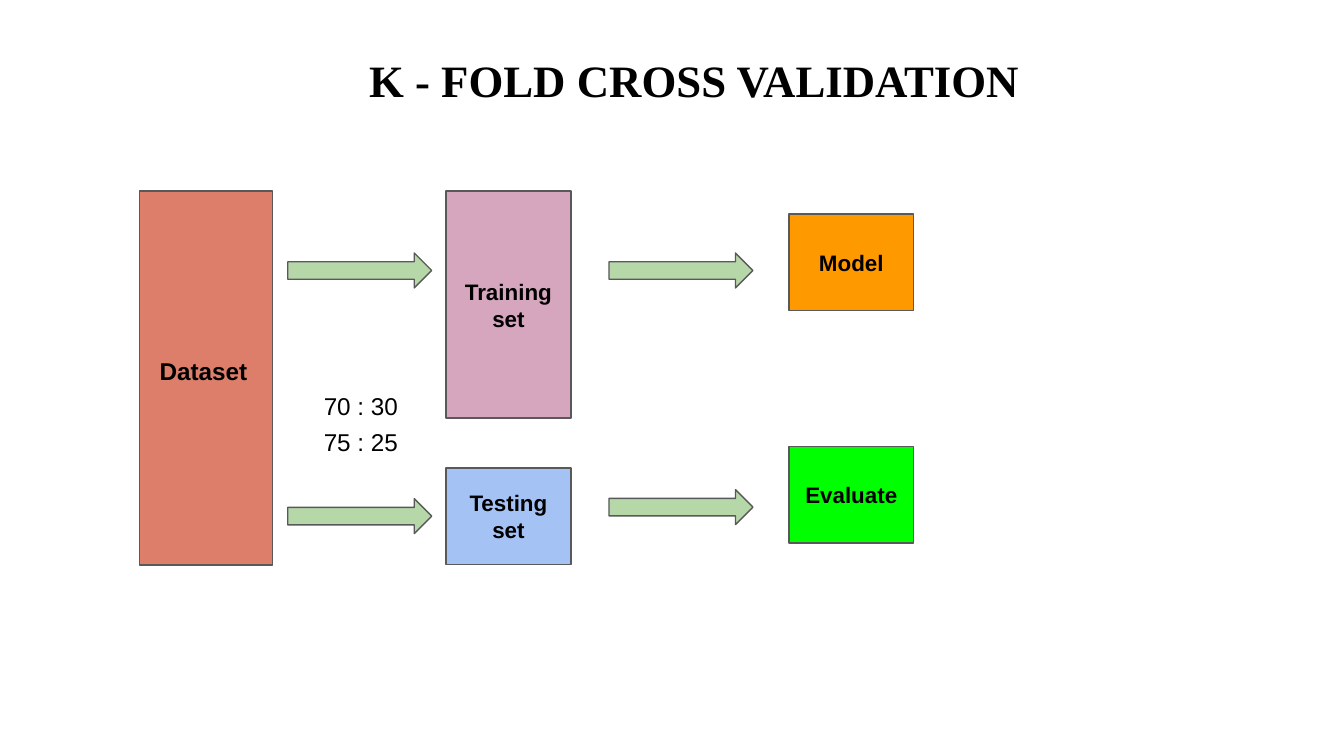
from pptx import Presentation
from pptx.dml.color import RGBColor
from pptx.enum.shapes import MSO_SHAPE as Shape
from pptx.enum.text import MSO_ANCHOR as Anchor, PP_ALIGN as Align
from pptx.util import Cm, Pt

HUES = {
    "ink": "000000", "edge": "595959", "arrow": "B6D7A8",
    "data": "DD7E6B", "train": "D5A6BD", "test": "A4C2F4",
    "model": "FF9900", "score": "00FF00",
}
PAD = Cm(0.25)

# Columns, sizes and rows in cm
DATA_X, SET_X, END_X = 2.64, 8.43, 14.91
BOX_W, BOX_H = 2.36, 1.83
TOP = 3.61


def hue(name):
    return RGBColor.from_string(HUES[name])


def write(frame, text, size, bold=True, font="Arial", align=Align.CENTER):
    frame.word_wrap = True
    frame.margin_left = frame.margin_right = PAD
    frame.margin_top = frame.margin_bottom = PAD
    frame.text = text
    para = frame.paragraphs[0]
    para.alignment = align
    face = para.runs[0].font
    face.name, face.size, face.bold = font, Pt(size), bold
    face.color.rgb = hue("ink")


def add_form(slide, kind, x, y, w, h, fill):
    form = slide.shapes.add_shape(kind, Cm(x), Cm(y), Cm(w), Cm(h))
    form.shadow.inherit = False
    form.fill.solid()
    form.fill.fore_color.rgb = hue(fill)
    form.line.color.rgb = hue("edge")
    form.line.width = Pt(0.75)
    return form


def add_box(slide, text, x, y, h, fill):
    box = add_form(slide, Shape.RECTANGLE, x, y, BOX_W, h, fill)
    box.text_frame.vertical_anchor = Anchor.MIDDLE
    write(box.text_frame, text, 12)


def add_arrow(slide, x, y):
    add_form(slide, Shape.RIGHT_ARROW, x, y, 2.72, 0.66, "arrow")


def add_label(slide, text, x, y, w=2.26, h=0.81, size=13, **style):
    label = slide.shapes.add_textbox(Cm(x), Cm(y), Cm(w), Cm(h))
    write(label.text_frame, text, size, **style)


def main():
    deck = Presentation()
    deck.slide_width, deck.slide_height = Cm(25.4), Cm(14.28)
    slide = deck.slides.add_slide(deck.slide_layouts[6])

    # Title
    add_label(slide, "K - FOLD CROSS VALIDATION", 4.34, 0.74, 17.55, 1.45,
              size=24, font="Times New Roman")

    # Dataset
    add_form(slide, Shape.FLOWCHART_PROCESS, DATA_X, TOP, 2.51, 7.06, "data")
    add_label(slide, "Dataset", 2.77, 6.48, align=Align.LEFT)

    # Sets and what they feed
    for text, x, y, h, fill in (
        ("Training set", SET_X, TOP, 4.29, "train"),
        ("Testing set", SET_X, 8.84, BOX_H, "test"),
        ("Model", END_X, 4.04, BOX_H, "model"),
        ("Evaluate", END_X, 8.43, BOX_H, "score"),
    ):
        add_box(slide, text, x, y, h, fill)

    # Flow arrows
    for x, low in ((5.44, 9.42), (11.51, 9.25)):
        for y in (4.78, low):
            add_arrow(slide, x, y)

    # Split ratios
    for row, text in enumerate(("70 : 30", "75 : 25")):
        add_label(slide, text, 5.87, 7.14 + row * 0.68,
                  bold=False, align=Align.LEFT)

    deck.save("out.pptx")


if __name__ == "__main__":
    main()
